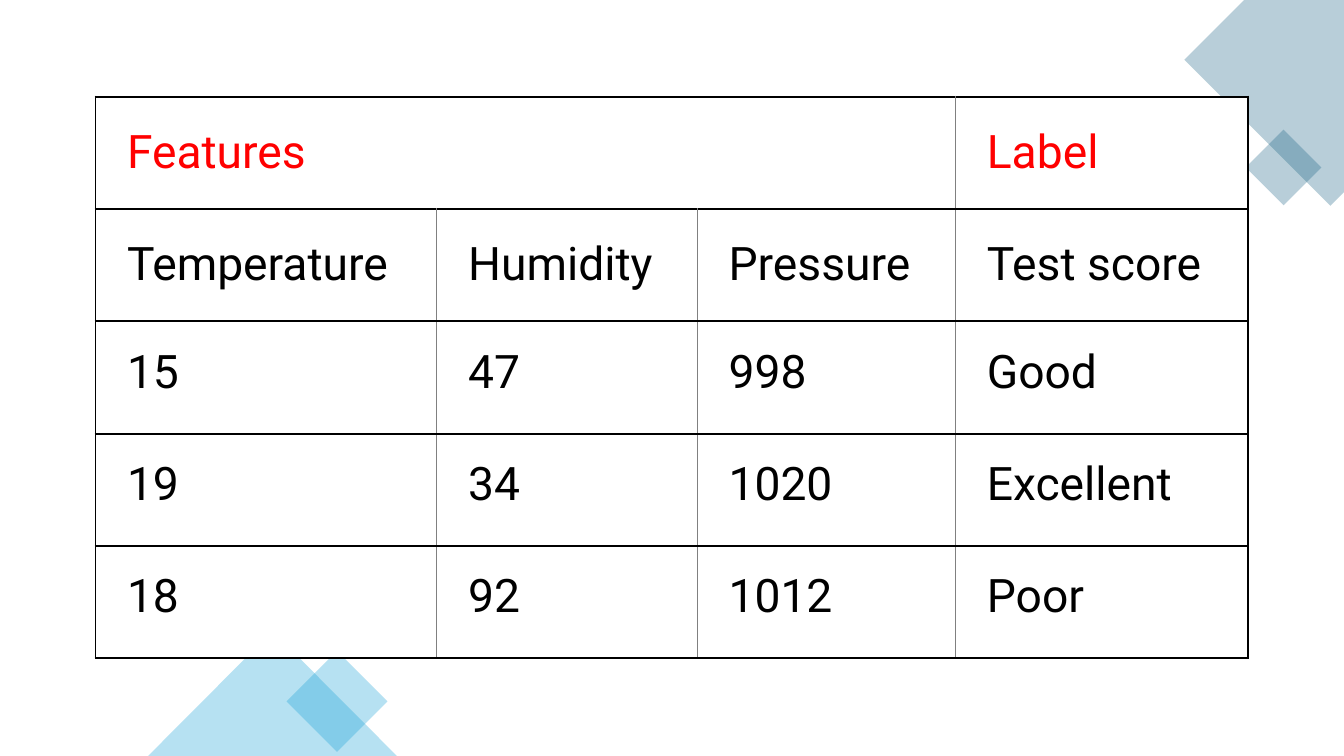
"""Build a slide with a table of weather features and test score labels."""
from lxml.etree import SubElement
from pptx import Presentation
from pptx.dml.color import RGBColor
from pptx.enum.shapes import MSO_SHAPE as Preset
from pptx.enum.text import MSO_ANCHOR as Anchor
from pptx.oxml.ns import qn
from pptx.util import Emu, Pt

PX = 9525
BLACK, GREY, WHITE, RED = "000000", "808080", "FFFFFF", "FF0000"
TEAL, SKY = "156082", "0F9ED5"
COLUMN_WIDTHS = [325, 248, 246, 279]
ROW_HEIGHT = 107
HEADER_ROWS = 2
READINGS = [
    ["Features", "", "", "Label"],
    ["Temperature", "Humidity", "Pressure", "Test score"],
    ["15", "47", "998", "Good"],
    ["19", "34", "1020", "Excellent"],
    ["18", "92", "1012", "Poor"],
]


def px(length):
    """Turn pixels into EMU."""
    return Emu(length * PX)


def color(hex_string):
    """Turn a hex string into a colour."""
    return RGBColor.from_string(hex_string)


def tint(ornament, hex_string):
    """Give a shape a 30 percent opaque fill with no line or shadow."""
    ornament.shadow.inherit = False
    ornament.line.fill.background()
    ornament.fill.solid()
    ornament.fill.fore_color.rgb = color(hex_string)
    tone = ornament.fill._xPr.find(".//" + qn("a:srgbClr"))
    SubElement(tone, qn("a:alpha"), val="30000")


def add_ornament(slide, preset, left, top, width, height, hex_string, rotation=0):
    """Add a translucent preset shape."""
    ornament = slide.shapes.add_shape(preset, px(left), px(top), px(width), px(height))
    ornament.rotation = rotation
    tint(ornament, hex_string)


def add_corner(slide, points, hex_string):
    """Add a translucent outline through the given points."""
    builder = slide.shapes.build_freeform(*points[0], scale=PX)
    builder.add_line_segments(points[1:], close=True)
    tint(builder.convert_to_shape(), hex_string)


def add_border(cell, side, hex_string, points):
    """Draw one side of a cell's border."""
    border = SubElement(cell._tc.get_or_add_tcPr(), qn("a:ln" + side), w=str(Pt(points)))
    SubElement(SubElement(border, qn("a:solidFill")), qn("a:srgbClr"), val=hex_string)


def format_cell(cell, wording, row, column):
    """Fill in one cell with its text, borders and margins."""
    outer, inner = (BLACK, 1.5), (GREY, 0.5)
    add_border(cell, "L", *(outer if column == 0 else inner))
    add_border(cell, "R", *(outer if column == len(COLUMN_WIDTHS) - 1 else inner))
    add_border(cell, "T", *outer)
    add_border(cell, "B", *outer)
    cell.fill.solid()
    cell.fill.fore_color.rgb = color(WHITE)
    cell.margin_left, cell.margin_right = px(30), px(15)
    cell.margin_top = cell.margin_bottom = px(23)
    cell.vertical_anchor = Anchor.MIDDLE if row < HEADER_ROWS else Anchor.TOP
    cell.text = wording
    font = cell.text_frame.paragraphs[0].font
    font.name, font.size = "Roboto", Pt(33)
    font.color.rgb = color(RED if row == 0 else BLACK)


def add_readings(slide, left, top):
    """Add the table of readings."""
    rows, columns = len(READINGS), len(COLUMN_WIDTHS)
    table = slide.shapes.add_table(
        rows, columns, px(left), px(top), px(sum(COLUMN_WIDTHS)), px(rows * ROW_HEIGHT)
    ).table
    table.first_row = table.horz_banding = False
    for column, width in zip(table.columns, COLUMN_WIDTHS):
        column.width = px(width)
    for row in table.rows:
        row.height = px(ROW_HEIGHT)
    for row, wordings in enumerate(READINGS):
        for column, wording in enumerate(wordings):
            format_cell(table.cell(row, column), wording, row, column)
    table.cell(0, 0).merge(table.cell(0, 2))


def main():
    """Build and save the slide."""
    deck = Presentation()
    deck.slide_width, deck.slide_height = px(1280), px(720)
    slide = deck.slides.add_slide(deck.slide_layouts[6])
    add_corner(slide, [(1280, 0), (1185, 0), (1128, 57), (1267, 196), (1280, 183)], TEAL)
    add_ornament(slide, Preset.RECTANGLE, 1197, 134, 51, 51, TEAL, 315)
    add_ornament(slide, Preset.RECTANGLE, 287, 634, 68, 68, SKY, 45)
    add_ornament(slide, Preset.ISOSCELES_TRIANGLE, 141, 601, 237, 119, SKY)
    add_readings(slide, 91, 92)
    deck.save("out.pptx")


if __name__ == "__main__":
    main()
